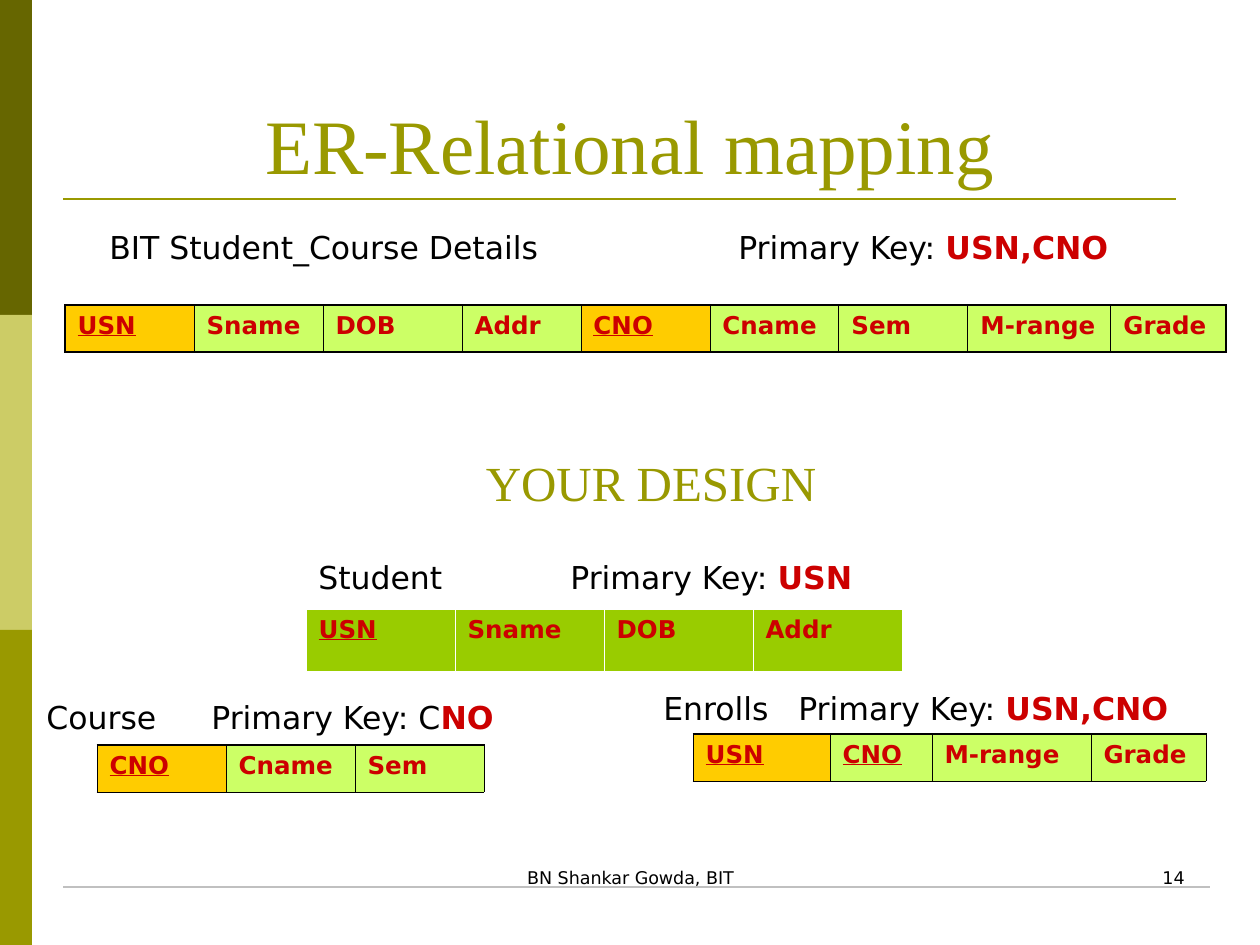
from lxml import etree
from pptx import Presentation
from pptx import util as u
from pptx.dml.color import RGBColor
from pptx.enum import shapes, text
from pptx.oxml import ns

SANS, SERIF = "DejaVu Sans", "Times New Roman"
BLACK, WHITE, RED, OLIVE = "000000", "FFFFFF", "CC0000", "999900"
ORANGE, LIME, GREEN = "FFCC00", "CCFF66", "99CC00"
LEFT, CENTER, RIGHT = text.PP_ALIGN.LEFT, text.PP_ALIGN.CENTER, text.PP_ALIGN.RIGHT


def px(n):
    return u.Emu(round(n * 914400 / 126))


def rgb(value):
    return RGBColor.from_string(value)


def add_run(p, content, size=18, font=SANS, color=BLACK, bold=False, underline=False):
    r = p.add_run()
    r.text = content
    r.font.size = u.Pt(size)
    r.font.name = font
    r.font.color.rgb = rgb(color)
    r.font.bold = bold
    r.font.underline = underline


def add_text(s, box, content, align=LEFT, bottom=False, **fmt):
    tf = s.shapes.add_textbox(*map(px, box)).text_frame
    tf.word_wrap = True
    tf.vertical_anchor = text.MSO_ANCHOR.BOTTOM if bottom else text.MSO_ANCHOR.TOP
    p = tf.paragraphs[0]
    p.alignment = align
    add_run(p, content, **fmt)
    return p


def add_rule(s, x1, x2, y, color, width):
    line = s.shapes.add_connector(shapes.MSO_CONNECTOR.STRAIGHT, px(x1), px(y), px(x2), px(y))
    line.line.color.rgb = rgb(color)
    line.line.width = u.Pt(width)
    etree.SubElement(line._element.spPr, ns.qn("a:effectLst"))


def add_side_bar(s, x, y, w, h):
    colors = ["666600", "CCCC66", OLIVE]
    band = h // len(colors)
    for i, color in enumerate(colors):
        sp = s.shapes.add_shape(shapes.MSO_SHAPE.RECTANGLE, px(x), px(y + i * band), px(w), px(band))
        sp.shadow.inherit = False
        sp.fill.solid()
        sp.fill.fore_color.rgb = rgb(color)
        sp.line.fill.background()


def set_borders(cell, color, widths):
    tc_pr = cell._tc.get_or_add_tcPr()
    for i, (side, width) in enumerate(zip("LRTB", widths)):
        ln = etree.Element(ns.qn(f"a:ln{side}"), w=str(u.Pt(width)))
        fill = etree.SubElement(ln, ns.qn("a:solidFill"))
        etree.SubElement(fill, ns.qn("a:srgbClr"), val=color)
        tc_pr.insert(i, ln)


def add_caption(s, box, name, tab, key, plain=""):
    p = add_text(s, box, f"{name}\tPrimary Key: {plain}")
    tabs = etree.SubElement(p._p.get_or_add_pPr(), ns.qn("a:tabLst"))
    etree.SubElement(tabs, ns.qn("a:tab"), pos=str(px(tab)), algn="l")
    add_run(p, key, color=RED, bold=True)


def add_relation(s, x, y, h, columns, keys, marked=(), fill=LIME, border=BLACK,
                 top=1.08, bottom=0.45, side=0.45):
    widths = list(columns.values())
    frame = s.shapes.add_table(1, len(widths), px(x), px(y), px(sum(widths)), px(h))
    table = frame.table
    table.first_row = table.horz_banding = False
    table.rows[0].height = px(h)
    last = len(widths) - 1
    for i, (name, width) in enumerate(columns.items()):
        table.columns[i].width = px(width)
        cell = table.cell(0, i)
        cell.fill.solid()
        cell.fill.fore_color.rgb = rgb(ORANGE if name in marked else fill)
        set_borders(cell, border, (side if i == 0 else 0.45, side if i == last else 0.45, top, bottom))
        add_run(cell.text_frame.paragraphs[0], name, size=14, color=RED, bold=True,
                underline=name in keys)


def add_heading(s, x, y, w):
    add_text(s, (x, y, w, 158), "ER-Relational mapping", CENTER, True, size=44, font=SERIF, color=OLIVE)
    add_rule(s, x, x + 1113, y + 161, OLIVE, 1.5)


def add_details(s, x, y):
    add_caption(s, (x + 32, y, 1056, 50), "BIT Student_Course Details", 629, "USN,CNO")
    columns = {"USN": 129, "Sname": 129, "DOB": 139, "Addr": 119, "CNO": 129,
               "Cname": 129, "Sem": 129, "M-range": 143, "Grade": 115}
    add_relation(s, x, y + 83, 47, columns, ("USN", "CNO"), ("USN", "CNO"), bottom=1.08, side=1.08)


def add_student(s, x, y):
    add_caption(s, (x, y, 617, 50), "Student", 252, "USN")
    columns = dict.fromkeys(["USN", "Sname", "DOB", "Addr"], 149)
    add_relation(s, x, y + 57, 63, columns, ("USN",), fill=GREEN, border=WHITE, top=0.45, bottom=1.47)


def add_course(s, x, y):
    add_caption(s, (x, y, 533, 50), "Course", 165, "NO", plain="C")
    columns = dict.fromkeys(["CNO", "Cname", "Sem"], 129)
    add_relation(s, x + 63, y + 53, 47, columns, ("CNO",), ("CNO",))


def add_enrolls(s, x, y):
    add_caption(s, (x, y, 606, 50), "Enrolls", 135, "USN,CNO")
    columns = {"USN": 137, "CNO": 102, "M-range": 159, "Grade": 115}
    add_relation(s, x + 42, y + 51, 47, columns, ("USN", "CNO"), ("USN",))


def add_footer(s, x, y, w):
    add_rule(s, x, x + w, y + 26, "C0C0C0", 0.75)
    add_text(s, (x + 368, y, 399, 63), "BN Shankar Gowda, BIT", CENTER, size=10)
    add_text(s, (x + 840, y, 294, 63), "14", RIGHT, size=10)


def main():
    prs = Presentation()
    prs.slide_width, prs.slide_height = px(1260), px(945)
    s = prs.slides.add_slide(prs.slide_layouts[6])
    add_side_bar(s, 0, 0, 32, 945)
    add_heading(s, 63, 38, 1134)
    add_details(s, 65, 222)
    add_text(s, (84, 445, 1134, 73), "YOUR DESIGN", CENTER, True, size=28, font=SERIF, color=OLIVE)
    add_student(s, 306, 552)
    add_course(s, 34, 692)
    add_enrolls(s, 651, 683)
    add_footer(s, 63, 861, 1147)
    prs.save("out.pptx")


if __name__ == "__main__":
    main()
